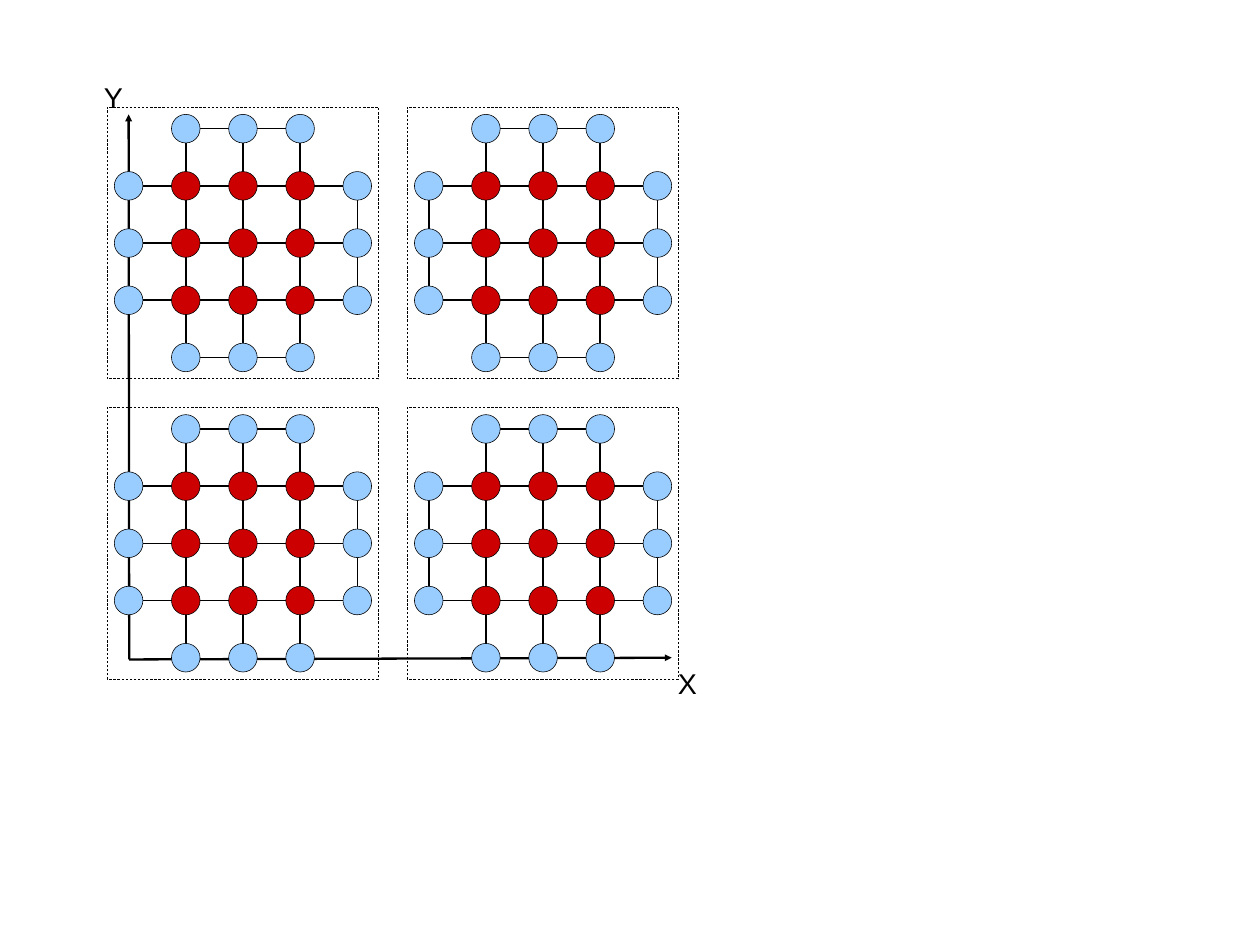
from dataclasses import dataclass
from itertools import product

from lxml import etree
from pptx import Presentation
from pptx.dml.color import RGBColor
from pptx.enum.dml import MSO_LINE
from pptx.enum.shapes import MSO_CONNECTOR, MSO_SHAPE
from pptx.enum.text import MSO_AUTO_SIZE
from pptx.oxml.ns import qn
from pptx.shapes.autoshape import Shape
from pptx.shapes.shapetree import SlideShapes
from pptx.util import Inches, Pt

STRAIGHT = MSO_CONNECTOR.STRAIGHT
OVAL, RECT = MSO_SHAPE.OVAL, MSO_SHAPE.RECTANGLE
DASH = MSO_LINE.DASH
FIT = MSO_AUTO_SIZE.SHAPE_TO_FIT_TEXT

BLACK, BLUE, RED = "000000", "99CCFF", "CC0000"
SIDE = 4        # grid steps across a block
NODE = 0.5      # node diameter
FRAME = 4.75    # dashed frame side
MARGIN = 0.38   # from frame to first grid line
STARTS = (2.25, 7.5)


@dataclass
class Line:
    x1: float
    y1: float
    x2: float
    y2: float
    width: float = 0
    arrow: bool = False


@dataclass
class Block:
    x: float
    y: float
    left: bool      # has its own left edge line
    bottom: bool    # has its own bottom edge line


@dataclass
class Label:
    text: str
    x: float
    y: float


AXES = [
    Line(2.25, 2, 2.26, 11.53, 2.89, True),
    Line(11.75, 11.5, 2.26, 11.53, 2.89, True),
]
# The axes stand in for the outer left and bottom edges
BLOCKS = [Block(x, y, x != STARTS[0], y != STARTS[1])
          for x, y in product(STARTS, STARTS)]
LABELS = [Label("Y", 1.72, 1.34), Label("X", 11.76, 11.59)]


def color(code: str) -> RGBColor:
    return RGBColor.from_string(code)


def draw_line(shapes: SlideShapes, line: Line) -> None:
    ends = [Inches(v) for v in (line.x1, line.y1, line.x2, line.y2)]
    item = shapes.add_connector(STRAIGHT, *ends)
    item.line.color.rgb = color(BLACK)
    item.line.width = Pt(line.width)
    props = item._element.spPr
    etree.SubElement(props, qn("a:effectLst"))
    if line.arrow:
        etree.SubElement(props.find(qn("a:ln")), qn("a:headEnd"), type="triangle")


def draw_shape(shapes: SlideShapes, kind: MSO_SHAPE, x: float, y: float,
               size: float, fill: str = "") -> Shape:
    item = shapes.add_shape(kind, Inches(x), Inches(y), Inches(size), Inches(size))
    item.shadow.inherit = False
    item.line.color.rgb = color(BLACK)
    item.line.width = Pt(0)
    if fill:
        item.fill.solid()
        item.fill.fore_color.rgb = color(fill)
    else:
        item.fill.background()
    return item


def draw_block(shapes: SlideShapes, block: Block) -> None:
    # Grid lines: outer ones are shorter by a step at each end
    for step in range(SIDE + 1):
        edge = step in (0, SIDE)
        near, far = (1, SIDE - 1) if edge else (0, SIDE)
        if step > 0 or block.left:
            x = block.x + step
            draw_line(shapes, Line(x, block.y + near, x, block.y + far))
        if step < SIDE or block.bottom:
            y = block.y + step
            draw_line(shapes, Line(block.x + near, y, block.x + far, y))

    # Nodes: red inside, blue on the rim, none at the corners
    for col, row in product(range(SIDE + 1), repeat=2):
        rims = (col in (0, SIDE)) + (row in (0, SIDE))
        if rims < 2:
            draw_shape(shapes, OVAL, block.x + col - NODE / 2,
                       block.y + row - NODE / 2, NODE, BLUE if rims else RED)


def draw_label(shapes: SlideShapes, label: Label) -> None:
    box = shapes.add_textbox(Inches(label.x), Inches(label.y), Inches(0.53), Inches(0.66))
    frame = box.text_frame
    frame.word_wrap = False
    frame.auto_size = FIT
    frame.text = label.text
    font = frame.paragraphs[0].font
    font.name, font.size = "Arial", Pt(36)
    font.color.rgb = color(BLACK)


def main() -> None:
    deck = Presentation()
    deck.slide_width, deck.slide_height = Inches(22.04), Inches(16.54)
    shapes = deck.slides.add_slide(deck.slide_layouts[6]).shapes

    for axis in AXES:
        draw_line(shapes, axis)
    for block in BLOCKS:
        draw_block(shapes, block)
    for label in LABELS:
        draw_label(shapes, label)

    # Dashed frames
    for block in BLOCKS:
        frame = draw_shape(shapes, RECT, block.x - MARGIN, block.y - MARGIN, FRAME)
        frame.line.dash_style = DASH

    deck.save("out.pptx")


if __name__ == "__main__":
    main()
